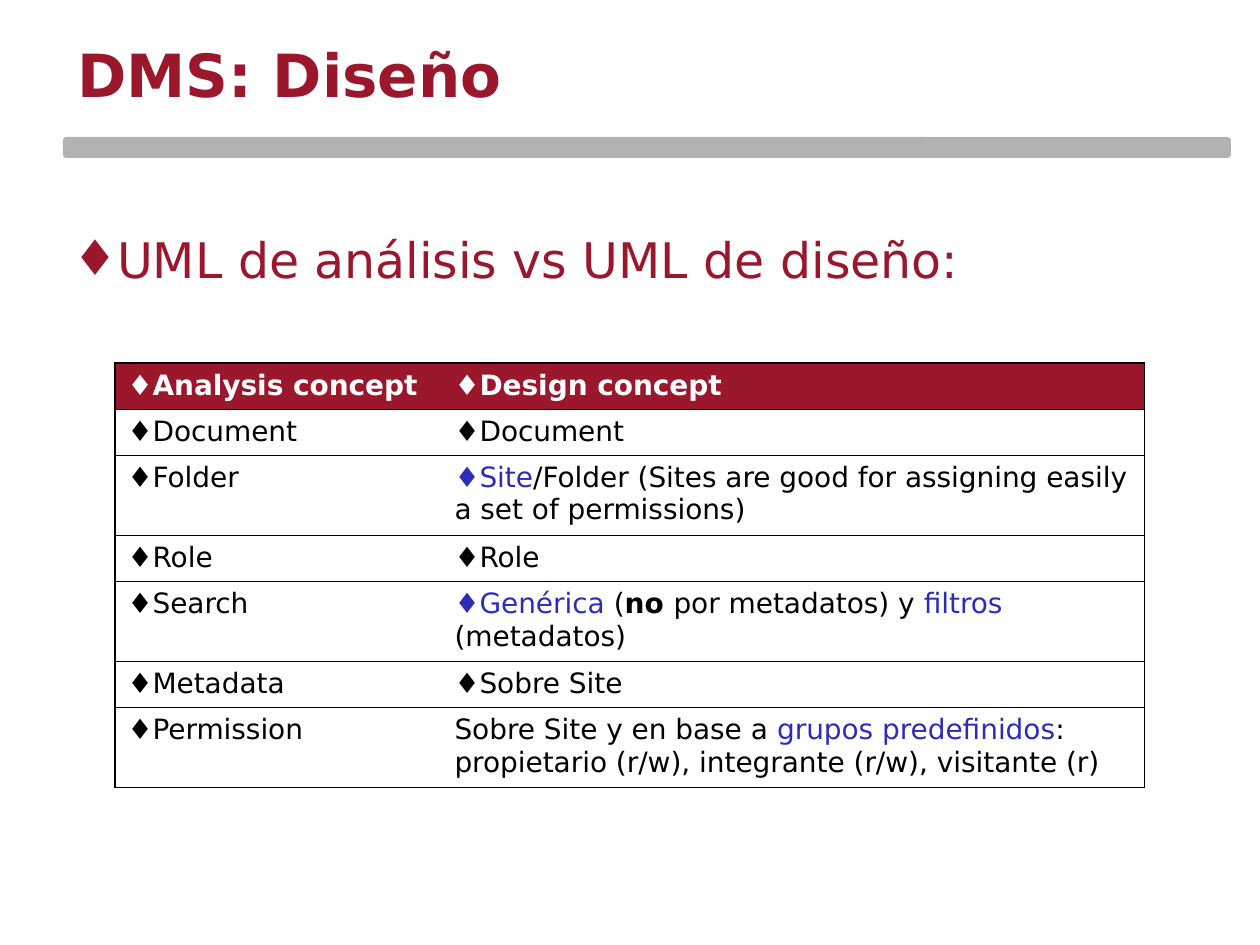
from typing import NamedTuple

from lxml.etree import SubElement
from pptx import Presentation
from pptx.dml.color import RGBColor
from pptx.enum.shapes import MSO_SHAPE
from pptx.enum.text import MSO_ANCHOR
from pptx.oxml import parse_xml
from pptx.oxml.ns import nsdecls, qn
from pptx.util import Emu, Pt

CRIMSON = RGBColor(0x9B, 0x17, 0x2C)
BLUE = RGBColor(0x2D, 0x2D, 0xB9)
GRAY = RGBColor(0xB2, 0xB2, 0xB2)
BLACK = RGBColor(0, 0, 0)
WHITE = RGBColor(0xFF, 0xFF, 0xFF)
FONT = "DejaVu Sans"
EMU_PER_PX = 914400 / 126


class Run(NamedTuple):
    text: str
    color: RGBColor = BLACK
    bold: bool = False


class Para(NamedTuple):
    runs: list[Run]
    size: int = 16
    bullet: bool = True


class Box(NamedTuple):
    x: int
    y: int
    w: int
    h: int


class Row(NamedTuple):
    height: int
    cells: list[Para]
    fill: RGBColor = WHITE


def px(n: float) -> Emu:
    return Emu(round(n * EMU_PER_PX))


def place(box: Box) -> list[Emu]:
    return [px(n) for n in box]


def write(tf, para: Para) -> None:
    p = tf.paragraphs[0]
    if para.bullet:
        pPr = p._p.get_or_add_pPr()
        pPr.set("marL", "0")
        pPr.set("indent", "0")
        SubElement(pPr, qn("a:buFont")).set("typeface", FONT)
        SubElement(pPr, qn("a:buChar")).set("char", "♦")
    for run in para.runs:
        r = p.add_run()
        r.text = run.text
        for key, value in {"name": FONT, "size": Pt(para.size), "bold": run.bold}.items():
            setattr(r.font, key, value)
        r.font.color.rgb = run.color


def add_text(s, box: Box, para: Para, wrap: bool) -> None:
    tf = s.shapes.add_textbox(*place(box)).text_frame
    for key, value in {"word_wrap": wrap, "vertical_anchor": MSO_ANCHOR.MIDDLE}.items():
        setattr(tf, key, value)
    write(tf, para)


def set_borders(cell, visible: dict[str, bool]) -> None:
    tcPr = cell._tc.get_or_add_tcPr()
    for i, (side, shown) in enumerate(visible.items()):
        paint = f'<a:solidFill><a:srgbClr val="{BLACK}"/></a:solidFill>' if shown else "<a:noFill/>"
        ln = parse_xml(f'<a:ln{side} {nsdecls("a")} w="{Pt(0.75)}">{paint}</a:ln{side}>')
        tcPr.insert(i, ln)


def add_grid(s, x: int, y: int, widths: list[int], rows: list[Row]) -> None:
    box = Box(x, y, sum(widths), sum(row.height for row in rows))
    table = s.shapes.add_table(len(rows), len(widths), *place(box)).table
    table.first_row = table.horz_banding = False
    for col, width in zip(table.columns, widths):
        col.width = px(width)
    last = len(widths) - 1
    for i, row in enumerate(rows):
        table.rows[i].height = px(row.height)
        for j, para in enumerate(row.cells):
            cell = table.cell(i, j)
            cell.fill.solid()
            cell.fill.fore_color.rgb = row.fill
            set_borders(cell, {"L": j == 0, "R": j == last, "T": True, "B": True})
            write(cell.text_frame, para)


def plain(text: str) -> Para:
    return Para([Run(text)])


def header(text: str) -> Para:
    return Para([Run(text, WHITE, True)])


ONE_LINE, TWO_LINES = 45, 77
ROWS = [
    Row(ONE_LINE, [header("Analysis concept"), header("Design concept")], CRIMSON),
    Row(ONE_LINE, [plain("Document"), plain("Document")]),
    Row(TWO_LINES, [plain("Folder"), Para([
        Run("Site", BLUE),
        Run("/Folder (Sites are good for assigning easily a set of permissions)"),
    ])]),
    Row(ONE_LINE, [plain("Role"), plain("Role")]),
    Row(TWO_LINES, [plain("Search"), Para([
        Run("Genérica ", BLUE),
        Run("("),
        Run("no ", bold=True),
        Run("por metadatos) y "),
        Run("filtros ", BLUE),
        Run("(metadatos)"),
    ])]),
    Row(ONE_LINE, [plain("Metadata"), plain("Sobre Site")]),
    Row(TWO_LINES, [plain("Permission"), Para([
        Run("Sobre Site y en base a "),
        Run("grupos predefinidos", BLUE),
        Run(": propietario (r/w), integrante (r/w), visitante (r)"),
    ], bullet=False)]),
]


def main() -> None:
    prs = Presentation()
    prs.slide_width, prs.slide_height = px(1260), px(945)
    s = prs.slides.add_slide(prs.slide_layouts[6])

    bar = s.shapes.add_shape(MSO_SHAPE.ROUNDED_RECTANGLE, *place(Box(63, 137, 1168, 21)))
    bar.shadow.inherit = False
    bar.fill.solid()
    bar.fill.fore_color.rgb = GRAY
    bar.line.fill.background()

    title = Para([Run("DMS: Diseño", CRIMSON, True)], 34, False)
    add_text(s, Box(65, 21, 1160, 105), title, True)
    add_grid(s, 115, 363, [327, 703], ROWS)
    topic = Para([Run("UML de análisis vs UML de diseño:", CRIMSON)], 28)
    add_text(s, Box(61, 223, 921, 72), topic, False)

    prs.save("out.pptx")


if __name__ == "__main__":
    main()
